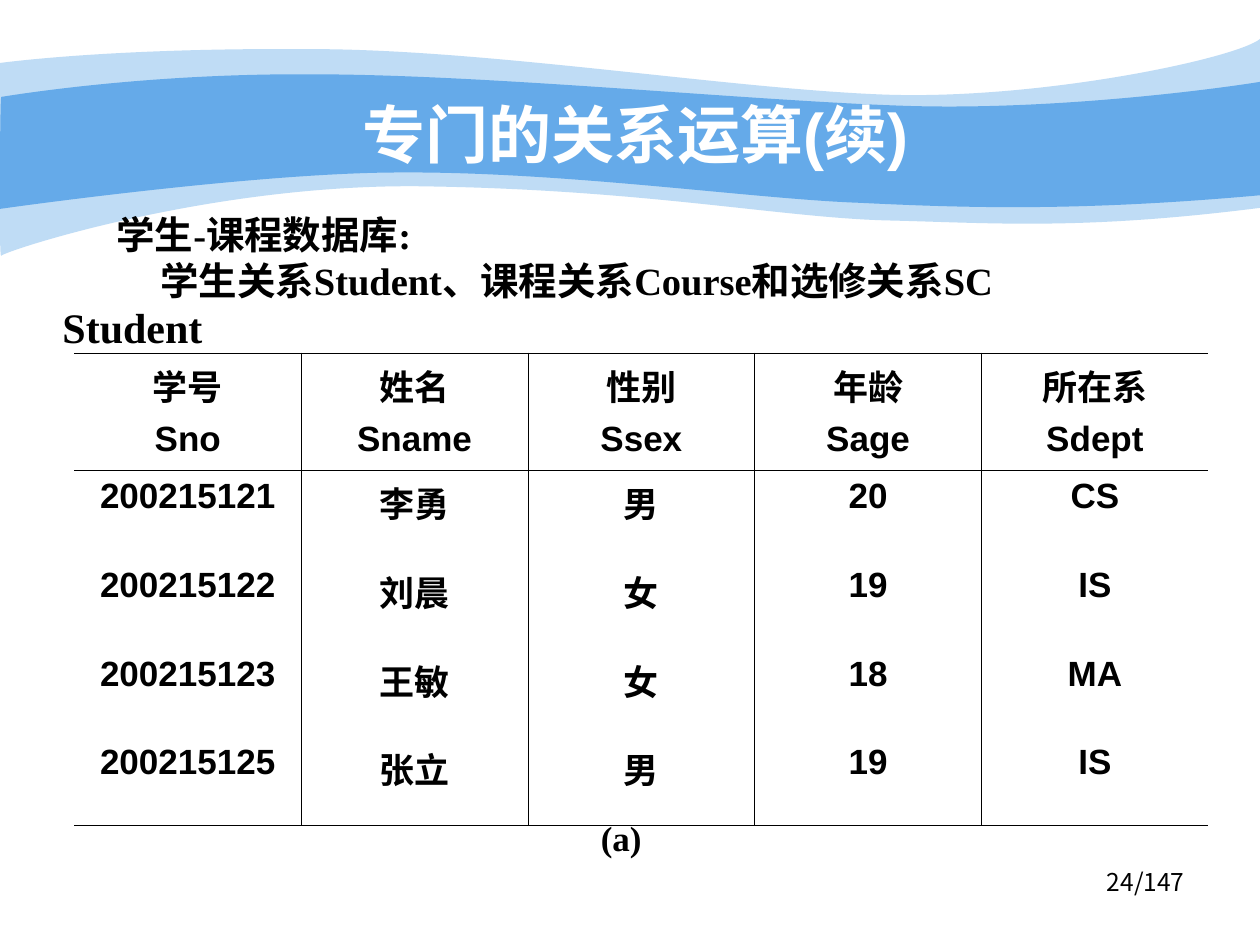
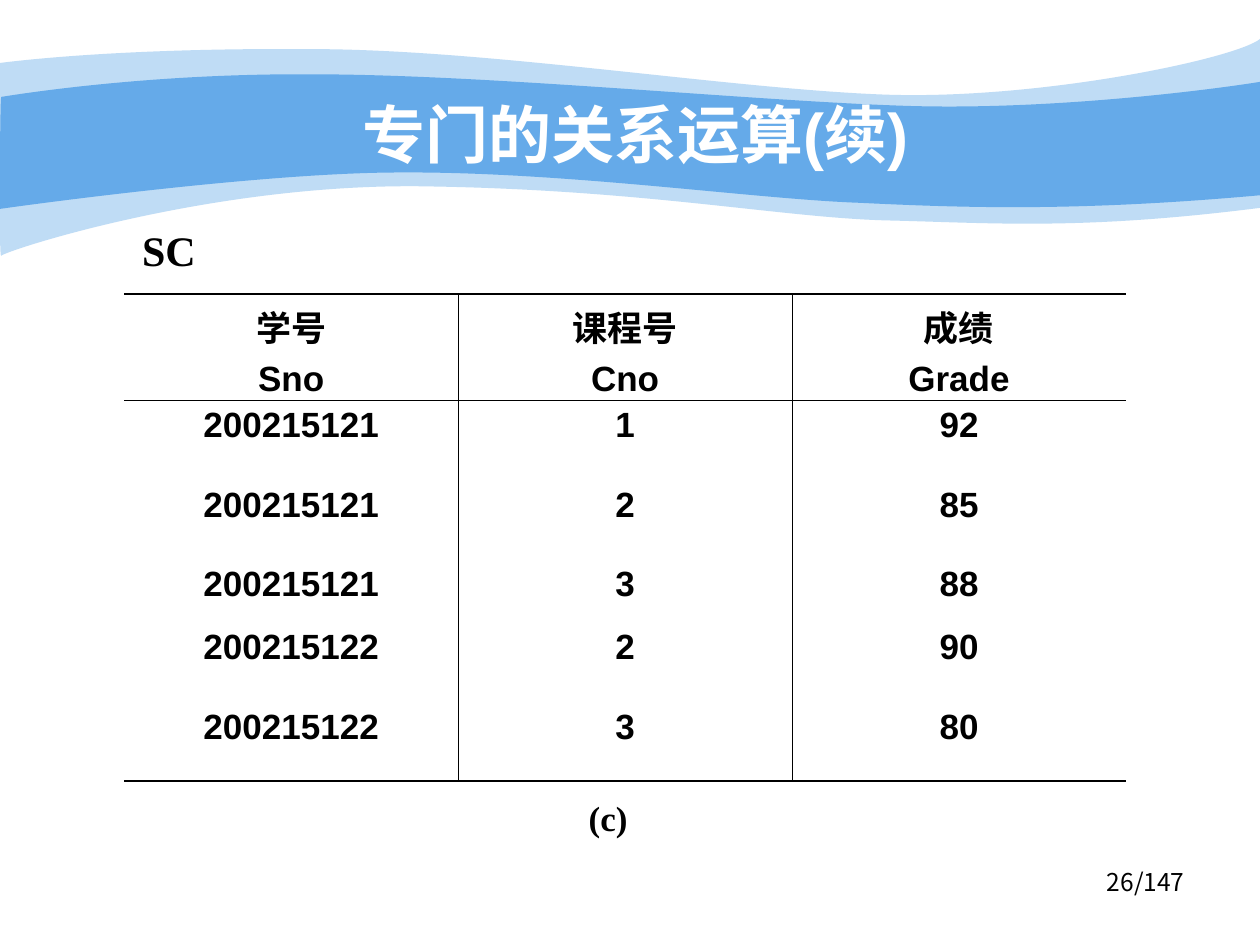
from itertools import chain

from lxml.etree import SubElement
from pptx import Presentation
from pptx.dml.color import RGBColor
from pptx.enum.text import MSO_ANCHOR, PP_ALIGN
from pptx.oxml import parse_xml
from pptx.oxml.ns import nsdecls, qn
from pptx.util import Pt

COLORS = {"band": "65AAE9", "title": "FFFFFF", "ink": "000000"}
SANS, SERIF, CJK = "Arial", "Times New Roman", "Noto Sans CJK SC"
TITLE = "专门的关系运算(续)"
PAGE_COUNT = 147
NO_GRID_STYLE = "{2D5ABB26-0587-4C30-8999-92F81FD0307C}"
THIN, THICK = Pt(0.45), Pt(1.08)

# Wave outlines in points: each segment is one point (line) or three (Bézier curve)
PALE_WAVE = [
    [(0, 36)],
    [(17.3, 33.8), (77, 27.4), (177.8, 28.1)],
    [(277.9, 28.1), (414, 50.4), (503.3, 54)],
    [(591.8, 57.6), (705.6, 33.8), (720, 22.3)],
    [(720, 118.8)],
    [(617.8, 131.8), (566.6, 127.4), (507.6, 126)],
    [(447.8, 124.6), (370.8, 108.7), (247, 106.6)],
    [(123.8, 103.7), (2.9, 143.3), (0.7, 146.2)],
    [(-0.7, 149.8), (0, 54), (0, 36)],
]
DEEP_WAVE = [
    [(0.7, 55.4)],
    [(1.4, 55.4), (79.2, 41.8), (178.6, 42.5)],
    [(277.9, 42.5), (428.4, 57.6), (517, 60.5)],
    [(605.5, 63.4), (702.7, 49.7), (720, 46.8)],
    [(720, 111.6)],
    [(615.2, 121), (550.8, 118.8), (491, 115.9)],
    [(431.3, 113.8), (321.8, 97.9), (228.2, 98.6)],
    [(146.2, 98.6), (-1.4, 119.5), (-0.7, 119.5)],
    [(0, 119.5), (0, 55.4), (0.7, 55.4)],
]


def style_para(para, size, font, bold=True, color="ink", align=PP_ALIGN.CENTER):
    para.alignment = align
    for span in para.runs:
        span.font.size, span.font.name, span.font.bold = Pt(size), font, bold
        span.font.color.rgb = RGBColor.from_string(COLORS[color])
        SubElement(span.font._element, qn("a:ea"), typeface=CJK)


def add_text(page, area, text, size, font, wrap=True, middle=False, **style):
    box = page.shapes.add_textbox(*map(Pt, area))
    frame = box.text_frame
    frame.word_wrap = wrap
    frame.vertical_anchor = MSO_ANCHOR.MIDDLE if middle else MSO_ANCHOR.TOP
    frame.text = text
    for para in frame.paragraphs:
        style_para(para, size, font, **style)
    return box


def add_wave(page, outline, opacity=100):
    points = [(Pt(x), Pt(y)) for x, y in chain.from_iterable(outline)]
    builder = page.shapes.build_freeform(*points[0], scale=1.0)
    builder.add_line_segments(points[1:], close=True)
    wave = builder.convert_to_shape()
    # Join every three line steps of a curve into one Bézier step
    steps = iter(wave._element.findall(".//" + qn("a:lnTo")))
    for segment in outline[1:]:
        first, *others = [next(steps) for _ in segment]
        if others:
            first.tag = qn("a:cubicBezTo")
        for step in others:
            first.append(step[0])
            step.getparent().remove(step)
    wave.shadow.inherit = False
    wave.line.fill.background()
    wave.fill.solid()
    wave.fill.fore_color.rgb = RGBColor.from_string(COLORS["band"])
    if opacity < 100:
        color = wave._element.spPr.find(".//" + qn("a:srgbClr"))
        SubElement(color, qn("a:alpha"), val=str(opacity * 1000))


def add_page(deck, number):
    """Blank page with the waves, the title and the page number."""
    page = deck.slides.add_slide(deck.slide_layouts[6])
    add_wave(page, PALE_WAVE, opacity=41)
    add_wave(page, DEEP_WAVE)
    add_text(page, (516, 492, 168, 37.5), f"{number}/{PAGE_COUNT}", 14, CJK,
             bold=False, align=PP_ALIGN.RIGHT)
    add_text(page, (72, 53.7, 582, 45), TITLE, 36, SANS, middle=True, color="title")
    return page


def set_borders(cell, edges):
    """Draw the given edges, a dict from L, R, T, B to line width; clear the others."""
    properties = cell._tc.get_or_add_tcPr()
    solid = f'<a:solidFill><a:srgbClr val="{COLORS["ink"]}"/></a:solidFill>'
    for index, side in enumerate("LRTB"):
        width = f'w="{edges[side]}"' if side in edges else ""
        paint = solid if side in edges else "<a:noFill/>"
        properties.insert(index, parse_xml(
            f'<a:ln{side} {nsdecls("a")} {width}>{paint}</a:ln{side}>'))


def add_relation(page, left, top, column_width, row_heights, rows):
    """Relation table: open sides, thick top and bottom, ruled header and columns."""
    last_row, last_column = len(rows) - 1, len(rows[0]) - 1
    frame = page.shapes.add_table(len(rows), len(rows[0]), Pt(left), Pt(top),
                                  Pt(column_width * len(rows[0])), Pt(sum(row_heights)))
    table = frame.table
    table.first_row = table.horz_banding = False
    table._tbl.tblPr.find(qn("a:tableStyleId")).text = NO_GRID_STYLE
    for column in table.columns:
        column.width = Pt(column_width)
    for r, (height, values) in enumerate(zip(row_heights, rows)):
        table.rows[r].height = Pt(height)
        for c, value in enumerate(values):
            cell = table.cell(r, c)
            cell.text = value
            cell.fill.background()
            if r == 0:
                cell.margin_bottom = 0
            for index, para in enumerate(cell.text_frame.paragraphs):
                style_para(para, 20, SANS)
                if index:
                    para.space_before = Pt(5)
            edges = {}
            if c > 0:
                edges["L"] = THIN
            if c < last_column:
                edges["R"] = THIN
            if r <= 1:
                edges["T"] = THIN if r else THICK
            if r in (0, last_row):
                edges["B"] = THICK if r else THIN
            set_borders(cell, edges)


def add_student_page(deck):
    page = add_page(deck, 24)
    add_text(page, (82, 463, 546, 31.5), "(a)", 20, SERIF)
    add_text(page, (27.7, 162.5, 96, 48), "Student", 24, SERIF, wrap=False, middle=True)
    # Introduction
    intro = add_text(page, (59.5, 117, 590, 60.5),
                     "学生-课程数据库:\n学生关系Student、课程关系Course和选修关系SC",
                     22, SERIF, align=PP_ALIGN.LEFT)
    for para, margin, indent in zip(intro.text_frame.paragraphs, (27, 25), (-27, 0)):
        properties = para._p.get_or_add_pPr()
        properties.set("marL", str(Pt(margin)))
        properties.set("indent", str(Pt(indent)))
    # Student relation
    add_relation(page, 42.5, 202, 129.6, [67] + [50.7] * 4, [
        ("学号\nSno", "姓名\nSname", "性别\nSsex", "年龄\nSage", "所在系\nSdept"),
        ("200215121", "李勇", "男", "20", "CS"),
        ("200215122", "刘晨", "女", "19", "IS"),
        ("200215123", "王敏", "女", "18", "MA"),
        ("200215125", "张立", "男", "19", "IS"),
    ])


def add_enrolment_page(deck):
    page = add_page(deck, 26)
    add_text(page, (314.5, 451.5, 66, 31.5), "(c)", 20, SERIF)
    add_text(page, (54, 123, 85, 39.5), "SC", 24, SERIF, wrap=False, middle=True)
    # Enrolment relation
    add_relation(page, 71, 168, 190.8, [60.5, 45.45, 45.45, 36, 45.45, 45.45], [
        ("学号\nSno", "课程号\nCno", "成绩\nGrade"),
        ("200215121", "1", "92"),
        ("200215121", "2", "85"),
        ("200215121", "3", "88"),
        ("200215122", "2", "90"),
        ("200215122", "3", "80"),
    ])


def main():
    deck = Presentation()
    deck.slide_width, deck.slide_height = Pt(720), Pt(540)
    add_student_page(deck)
    add_enrolment_page(deck)
    deck.save("out.pptx")


if __name__ == "__main__":
    main()
